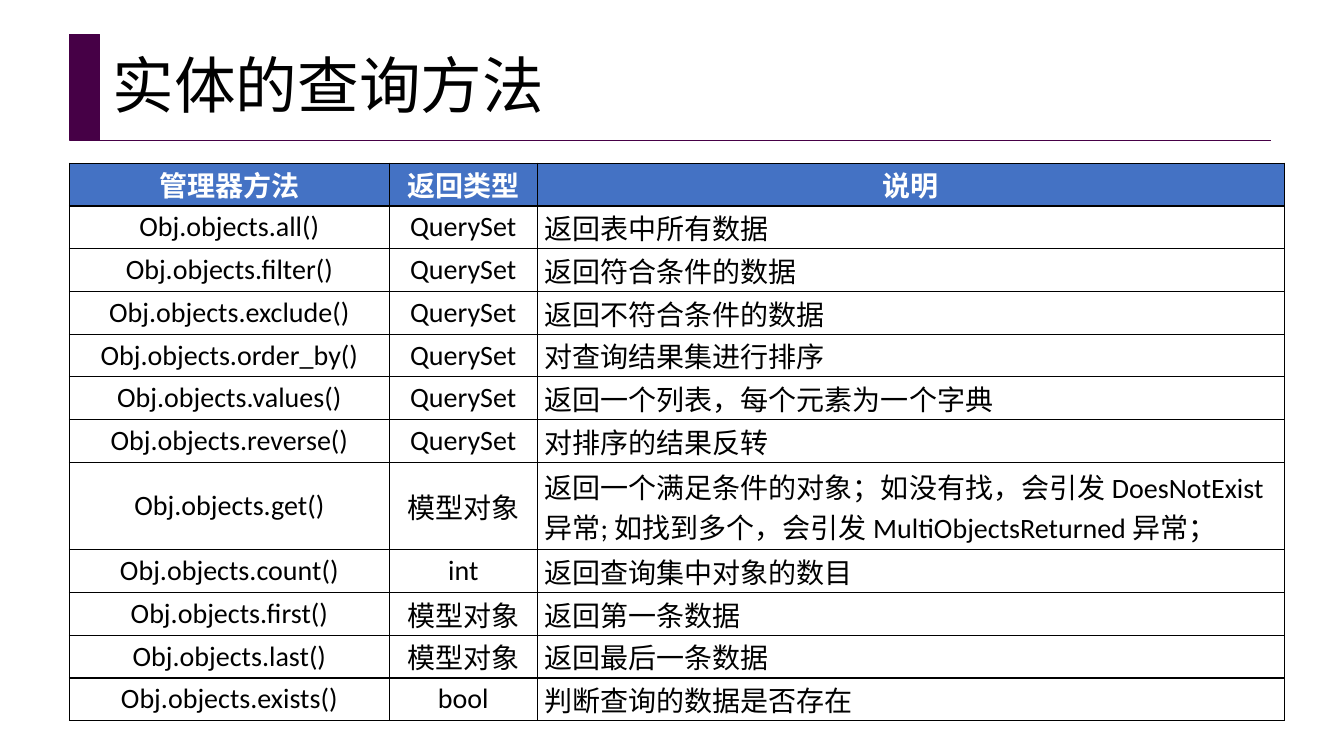
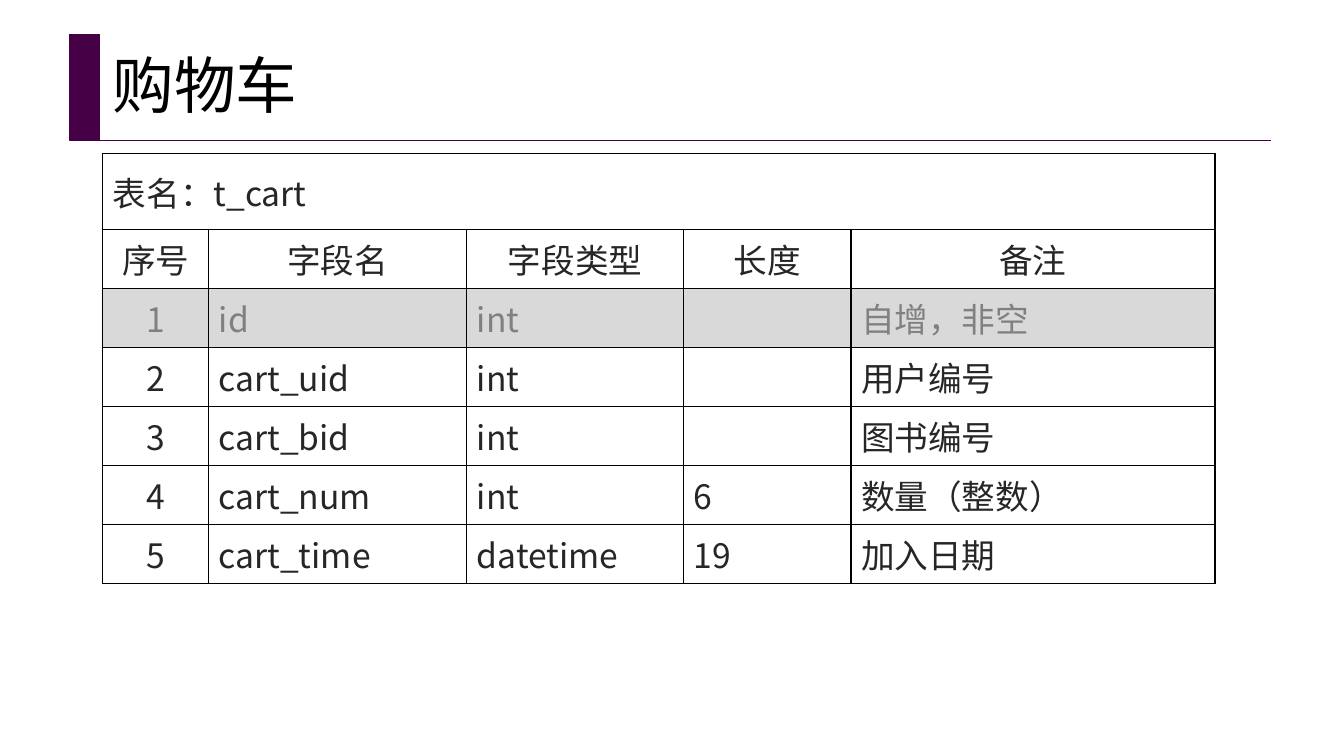
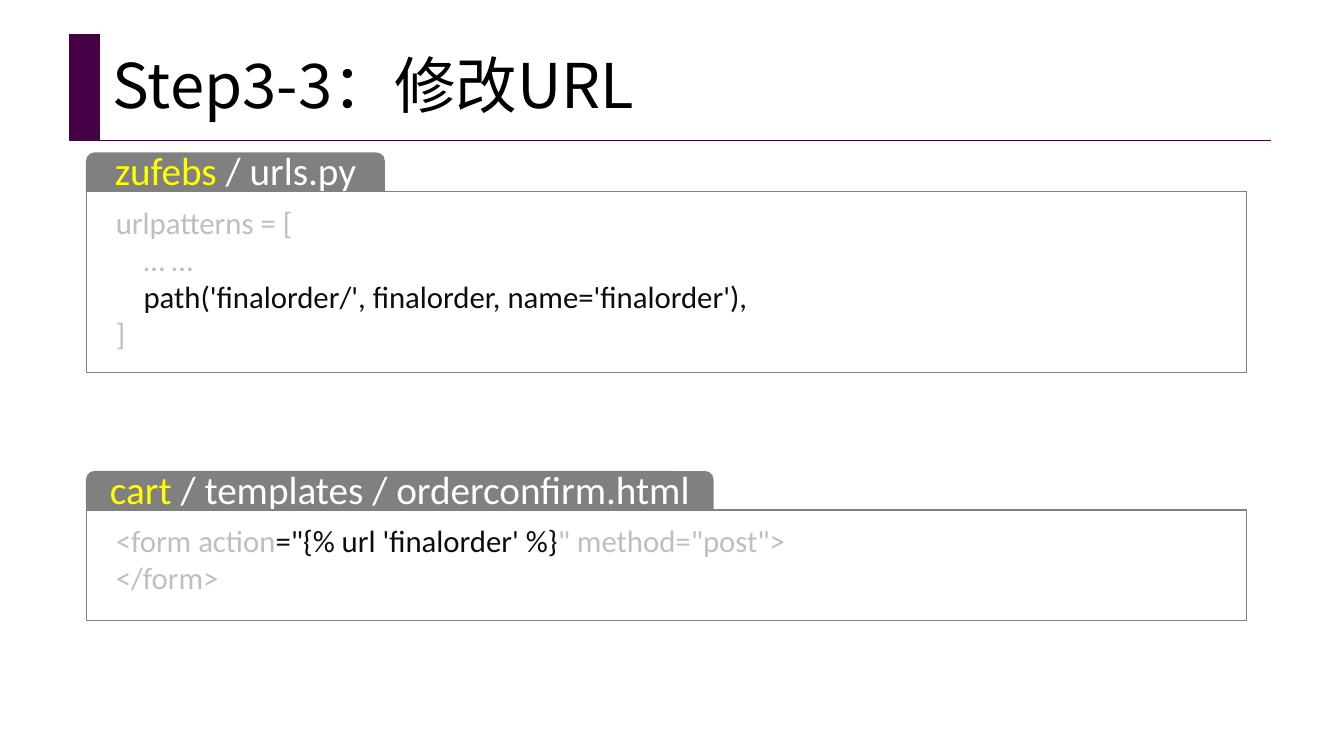
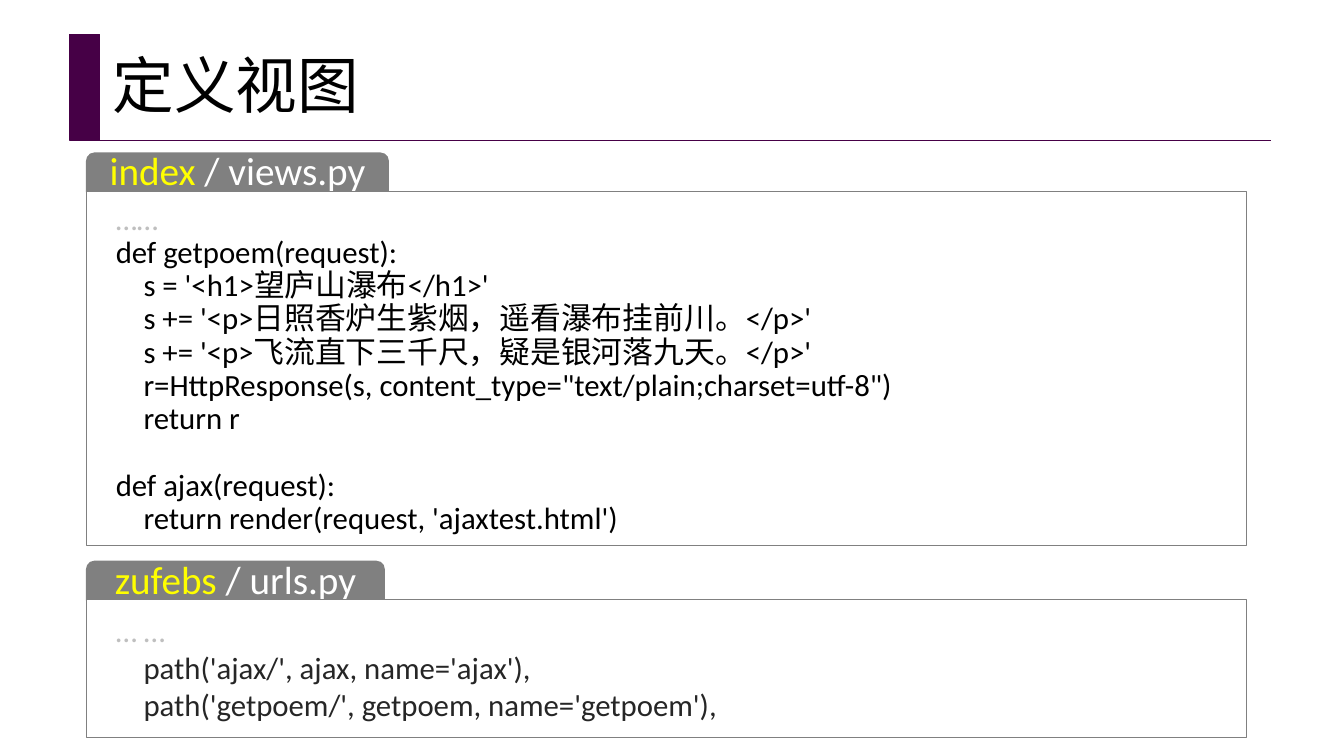
from dataclasses import dataclass

from lxml import etree
from pptx import Presentation
from pptx.dml.color import RGBColor
from pptx.enum.shapes import MSO_CONNECTOR, MSO_SHAPE
from pptx.enum.text import MSO_ANCHOR, PP_ALIGN
from pptx.oxml.ns import qn
from pptx.util import Pt

PX = 9144
RECT = MSO_SHAPE.RECTANGLE
ROUND_RECT = MSO_SHAPE.ROUNDED_RECTANGLE
STRAIGHT = MSO_CONNECTOR.STRAIGHT
MIDDLE = MSO_ANCHOR.MIDDLE
TOP = MSO_ANCHOR.TOP
CENTER = PP_ALIGN.CENTER
LEFT = PP_ALIGN.LEFT


@dataclass(frozen=True)
class Theme:
    purple: str = "460046"
    black: str = "000000"
    ink: str = "0D0D0D"
    charcoal: str = "262626"
    gray: str = "808080"
    faded: str = "BFBFBF"
    shade: str = "D9D9D9"
    white: str = "FFFFFF"
    yellow: str = "FFFF00"
    blue: str = "4472C4"
    latin: str = "Calibri"
    cjk: str = "Noto Sans CJK SC"
    title_size: int = 44
    tab_size: int = 28
    field_size: int = 24
    code_size: int = 22
    method_size: int = 20


THEME = Theme()


def px(value):
    return int(value * PX)


def rgb(value):
    return RGBColor.from_string(value)


class SlideBuilder:
    def __init__(self, deck, theme):
        self.deck = deck
        self.theme = theme
        self.page = None

    def add_page(self, title):
        theme = self.theme
        self.page = self.deck.slides.add_slide(self.deck.slide_layouts[6])
        bar = self.shape(self.page.shapes, RECT, (69, 34, 30, 105), theme.purple, theme.purple, 1)
        self.rule(bar, 1261, 139)
        box = self.page.shapes.add_textbox(*map(px, (102, 38, 1150, 99)))
        self.frame(box.text_frame, (10, 5, 10, 5), MIDDLE)
        self.add_spans(box.text_frame.paragraphs[0], [(title, theme.black)],
                       {"name": theme.cjk, "size": Pt(theme.title_size)}, {"line_spacing": 0.9})

    def shape(self, shapes, kind, place, fill, line, weight):
        shape = shapes.add_shape(kind, *map(px, place))
        shape.shadow.inherit = False
        shape.fill.solid()
        shape.fill.fore_color.rgb = rgb(fill)
        shape.line.color.rgb = rgb(line)
        shape.line.width = Pt(weight)
        return shape

    def rule(self, bar, right, top):
        line = self.page.shapes.add_connector(STRAIGHT, px(84), px(top), px(right), px(top))
        line.begin_connect(bar, 2)
        line.line.color.rgb = rgb(self.theme.purple)
        line.line.width = Pt(0.5)
        etree.SubElement(line._element.spPr, qn("a:effectLst"))

    def frame(self, frame, insets, anchor):
        sides = ("margin_left", "margin_top", "margin_right", "margin_bottom")
        values = dict(zip(sides, map(px, insets)), word_wrap=True, vertical_anchor=anchor)
        for key, value in values.items():
            setattr(frame, key, value)

    def add_spans(self, para, spans, font, layout):
        for key, value in layout.items():
            setattr(para, key, value)
        for text, color in spans:
            span = para.add_run()
            span.text = text
            for key, value in font.items():
                setattr(span.font, key, value)
            span.font.color.rgb = rgb(color)
            east_asian = etree.SubElement(span._r.get_or_add_rPr(), qn("a:ea"))
            east_asian.set("typeface", self.theme.cjk)

    def code_panel(self, top, tab_width, panel_height, label, lines, spacing=1.0):
        theme = self.theme
        shapes = self.page.shapes.add_group_shape().shapes
        tab = self.shape(shapes, ROUND_RECT, (86, top, tab_width, 46), theme.gray, theme.gray, 1)
        self.frame(tab.text_frame, (10, 0, 10, 12), MIDDLE)
        folder, rest = label
        self.add_spans(tab.text_frame.paragraphs[0], [(folder, theme.yellow), (rest, theme.white)],
                       {"name": theme.latin, "size": Pt(theme.tab_size)}, {"alignment": CENTER})
        self.shape(shapes, RECT, (86, top + 38, 1150, panel_height), theme.white, theme.gray, 0.75)
        box = shapes.add_textbox(*map(px, (105, top + 45, 1119, panel_height - 14)))
        self.frame(box.text_frame, (10, 5, 10, 5), TOP)
        for index, (spans, gap) in enumerate(lines):
            para = box.text_frame.add_paragraph() if index else box.text_frame.paragraphs[0]
            self.add_spans(para, spans, {"name": theme.latin, "size": Pt(theme.code_size)},
                           {"line_spacing": spacing, "space_before": Pt(gap)})

    def table(self, place, widths, rows, tall, font, insets, header, centered, looks):
        left, top, height = place
        shape = self.page.shapes.add_table(len(rows), len(widths), px(left), px(top),
                                           px(sum(widths)), px(height))
        table = shape.table
        table.first_row = table.horz_banding = False
        for column, width in zip(table.columns, widths):
            column.width = px(width)
        shared = (height - sum(tall.values())) / (len(rows) - len(tall))
        for row, texts in enumerate(rows):
            table.rows[row].height = px(tall.get(row, shared))
            fill, color, bold = looks.get(row, looks["default"])
            for column in range(len(widths)):
                cell = table.cell(row, column)
                self.borders(cell)
                cell.fill.solid()
                cell.fill.fore_color.rgb = rgb(fill)
                self.cell_margins(cell, insets)
                if column < len(texts) and texts[column]:
                    middle = row == header or (row > header and column in centered)
                    self.add_spans(cell.text_frame.paragraphs[0], [(texts[column], color)],
                                   dict(font, bold=bold),
                                   {"alignment": CENTER if middle else LEFT})
            if len(texts) == 1:
                table.cell(row, 0).merge(table.cell(row, len(widths) - 1))

    def cell_margins(self, cell, insets):
        across, down = map(px, insets)
        values = {"margin_left": across, "margin_right": across, "margin_top": down,
                  "margin_bottom": down, "vertical_anchor": MIDDLE}
        for key, value in values.items():
            setattr(cell, key, value)

    def borders(self, cell):
        properties = cell._tc.get_or_add_tcPr()
        for side in ("a:lnL", "a:lnR", "a:lnT", "a:lnB"):
            line = etree.SubElement(properties, qn(side), w=str(Pt(1)))
            fill = etree.SubElement(line, qn("a:solidFill"))
            etree.SubElement(fill, qn("a:srgbClr"), val=self.theme.black)


def code(text, color, gap=0):
    return [(text, color)], gap


def query_methods(builder):
    builder.add_page("实体的查询方法")
    methods = [
        ("all", "QuerySet", "返回表中所有数据"),
        ("filter", "QuerySet", "返回符合条件的数据"),
        ("exclude", "QuerySet", "返回不符合条件的数据"),
        ("order_by", "QuerySet", "对查询结果集进行排序"),
        ("values", "QuerySet", "返回一个列表，每个元素为一个字典"),
        ("reverse", "QuerySet", "对排序的结果反转"),
        ("get", "模型对象", "返回一个满足条件的对象；如没有找，会引发 DoesNotExist 异常; "
                        "如找到多个，会引发 MultiObjectsReturned 异常；"),
        ("count", "int", "返回查询集中对象的数目"),
        ("first", "模型对象", "返回第一条数据"),
        ("last", "模型对象", "返回最后一条数据"),
        ("exists", "bool", "判断查询的数据是否存在"),
    ]
    rows = [("管理器方法", "返回类型", "说明")]
    rows += [(f"Obj.objects.{name}()", kind, note) for name, kind, note in methods]
    builder.table((69, 162, 553), (317, 147, 741), rows, {7: 87},
                  {"name": THEME.latin, "size": Pt(THEME.method_size)}, (7, 0), 0, {0, 1},
                  {0: (THEME.blue, THEME.white, True),
                   "default": (THEME.white, THEME.black, False)})


def cart_fields(builder):
    builder.add_page("购物车")
    rows = [
        ("表名：t_cart",),
        ("序号", "字段名", "字段类型", "长度", "备注"),
        ("1", "id", "int", "", "自增，非空"),
        ("2", "cart_uid", "int", "", "用户编号"),
        ("3", "cart_bid", "int", "", "图书编号"),
        ("4", "cart_num", "int", "6", "数量（整数）"),
        ("5", "cart_time", "datetime", "19", "加入日期"),
    ]
    builder.table((102, 152, 427), (105, 256, 215, 166, 361), rows, {0: 76},
                  {"name": THEME.cjk, "size": Pt(THEME.field_size)}, (10, 5), 1, {0},
                  {2: (THEME.shade, THEME.gray, False),
                   "default": (THEME.white, THEME.charcoal, False)})


def url_changes(builder):
    builder.add_page("Step3-3：修改URL")
    builder.code_panel(152, 295, 180, ("zufebs", " / urls.py"), [
        code("urlpatterns = [", THEME.faded),
        code("    … …", THEME.faded),
        code("    path('finalorder/', finalorder, name='finalorder'),", THEME.ink),
        code("]", THEME.faded),
    ])
    form = [("<form action", THEME.faded), ("=\"{% url 'finalorder' %}", THEME.ink),
            ("\" method=\"post\">", THEME.faded)]
    builder.code_panel(468, 621, 110, ("cart", " / templates / orderconfirm.html"),
                       [(form, 0), code("</form>", THEME.faded)])


def view_definitions(builder):
    builder.add_page("定义视图")
    builder.code_panel(152, 299, 351, ("index", " / views.py"), [
        code("……", THEME.faded),
        code("def getpoem(request):", THEME.black),
        code("    s = '<h1>望庐山瀑布</h1>'", THEME.black),
        code("    s += '<p>日照香炉生紫烟，遥看瀑布挂前川。</p>'", THEME.black),
        code("    s += '<p>飞流直下三千尺，疑是银河落九天。</p>'", THEME.black),
        code("    r=HttpResponse(s, content_type=\"text/plain;charset=utf-8\")", THEME.black),
        code("    return r", THEME.black),
        code("def ajax(request):", THEME.black, 24),
        code("    return render(request, 'ajaxtest.html')", THEME.black),
    ], 0.9)
    builder.code_panel(557, 295, 137, ("zufebs", " / urls.py"), [
        code("… …", THEME.faded),
        code("    path('ajax/', ajax, name='ajax'),", THEME.charcoal),
        code("    path('getpoem/', getpoem, name='getpoem'),", THEME.charcoal),
    ])


def main():
    deck = Presentation()
    deck.slide_width, deck.slide_height = px(1333), px(750)
    builder = SlideBuilder(deck, THEME)
    for build in (query_methods, cart_fields, url_changes, view_definitions):
        build(builder)
    deck.save("out.pptx")


if __name__ == "__main__":
    main()
